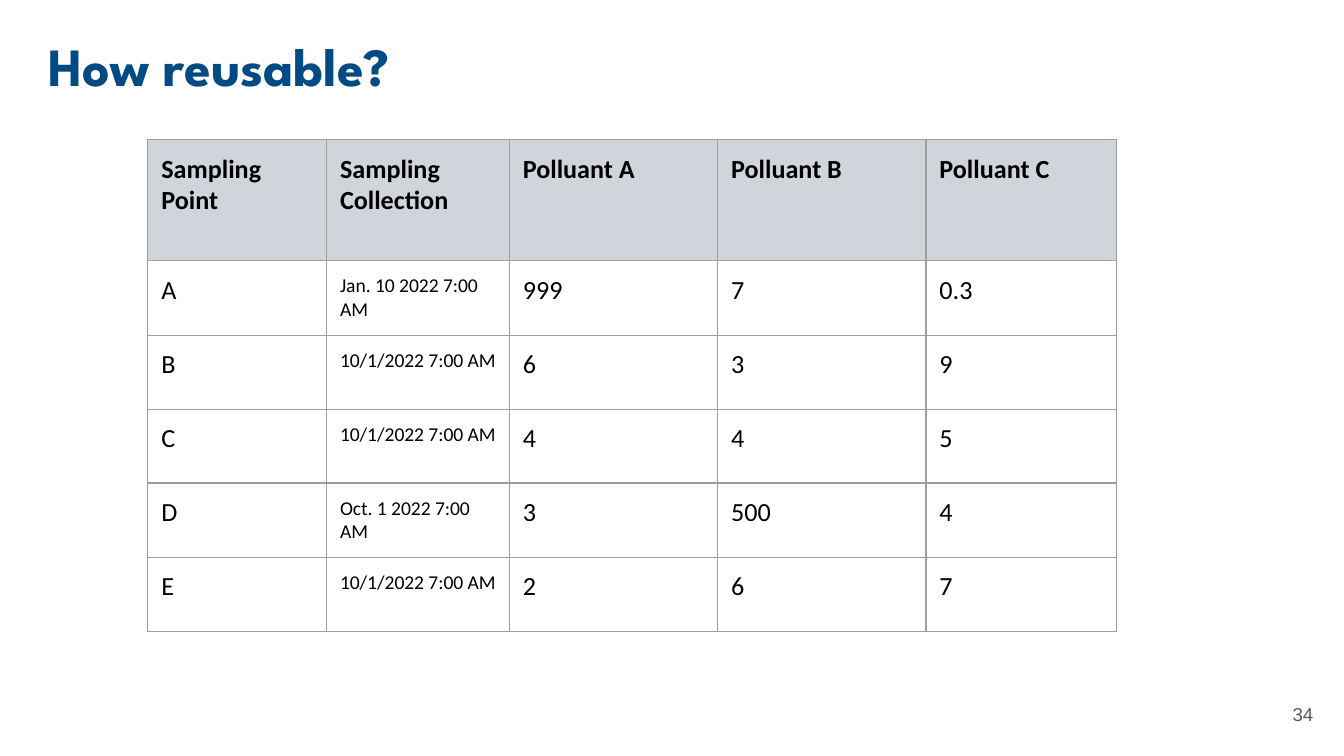
import pptx
import pptx.dml.color
import pptx.enum.text
import pptx.oxml
import pptx.oxml.ns
import pptx.util
from pptx.util import Inches

COLORS = {
    "title": "004B83",
    "text": "000000",
    "header": "D1D5DB",
    "border": "9E9E9E",
    "number": "595959",
}
ROWS = [
    ["Sampling Point", "Sampling Collection", "Polluant A", "Polluant B", "Polluant C"],
    ["A", "Jan. 10 2022 7:00 AM", "999", "7", "0.3"],
    ["B", "10/1/2022 7:00 AM", "6", "3", "9"],
    ["C", "10/1/2022 7:00 AM", "4", "4", "5"],
    ["D", "Oct. 1 2022 7:00 AM", "3", "500", "4"],
    ["E", "10/1/2022 7:00 AM", "2", "6", "7"],
]
COLUMN_WIDTHS = [1.33, 1.36, 1.55, 1.55, 1.42]
ROW_HEIGHTS = [0.9] + [0.55] * 5


def write_text(text_frame, text, font_name, size, color, bold=False):
    """Fill a text frame with one formatted run inside even margins."""
    text_frame.text = text
    text_frame.word_wrap = True
    text_frame.margin_left = text_frame.margin_right = Inches(0.1)
    text_frame.margin_top = text_frame.margin_bottom = Inches(0.1)
    font = text_frame.paragraphs[0].runs[0].font
    font.name = font_name
    font.size = pptx.util.Pt(size)
    font.bold = bold
    font.color.rgb = pptx.dml.color.RGBColor.from_string(COLORS[color])


def add_borders(cell):
    properties = cell._tc.get_or_add_tcPr()
    for position, side in enumerate(("lnL", "lnR", "lnT", "lnB")):
        line = pptx.oxml.parse_xml(
            f'<a:{side} {pptx.oxml.ns.nsdecls("a")} w="{pptx.util.Pt(0.75)}">'
            f'<a:solidFill><a:srgbClr val="{COLORS["border"]}"/></a:solidFill></a:{side}>'
        )
        properties.insert(position, line)


presentation = pptx.Presentation()
presentation.slide_width = Inches(10)
presentation.slide_height = Inches(10) * 9 // 16
slide = presentation.slides.add_slide(presentation.slide_layouts[5])

title = slide.shapes.title
title.left, title.top = Inches(0.26), Inches(0.2)
title.width, title.height = Inches(9.32), Inches(0.63)
write_text(title.text_frame, "How reusable?", "League Spartan", 28.8, "title", bold=True)
title.text_frame.auto_size = pptx.enum.text.MSO_AUTO_SIZE.NONE
title.text_frame.vertical_anchor = pptx.enum.text.MSO_ANCHOR.MIDDLE
title.text_frame.paragraphs[0].alignment = pptx.enum.text.PP_ALIGN.LEFT
title.text_frame.paragraphs[0].line_spacing = 0.9

table = slide.shapes.add_table(
    len(ROWS), len(COLUMN_WIDTHS), Inches(1.1), Inches(1.04),
    Inches(sum(COLUMN_WIDTHS)), Inches(sum(ROW_HEIGHTS)),
).table
table.horz_banding = False
for column, width in zip(table.columns, COLUMN_WIDTHS):
    column.width = Inches(width)
for row, height in zip(table.rows, ROW_HEIGHTS):
    row.height = Inches(height)

for row_index, values in enumerate(ROWS):
    is_header = row_index == 0
    for column_index, value in enumerate(values):
        cell = table.cell(row_index, column_index)
        is_date = column_index == 1 and not is_header
        write_text(cell.text_frame, value, "Calibri", 10.5 if is_date else 14, "text", is_header)
        cell.margin_left = cell.margin_right = Inches(0.1)
        cell.margin_top = cell.margin_bottom = Inches(0.1)
        if is_header:
            cell.fill.solid()
            cell.fill.fore_color.rgb = pptx.dml.color.RGBColor.from_string(COLORS["header"])
        else:
            cell.fill.background()
        add_borders(cell)

slide_number = slide.shapes.add_textbox(Inches(9.27), Inches(5.1), Inches(0.6), Inches(0.43))
write_text(slide_number.text_frame, "34", "Arial", 10, "number")
slide_number.text_frame.vertical_anchor = pptx.enum.text.MSO_ANCHOR.MIDDLE
slide_number.text_frame.paragraphs[0].alignment = pptx.enum.text.PP_ALIGN.RIGHT

presentation.save("out.pptx")
